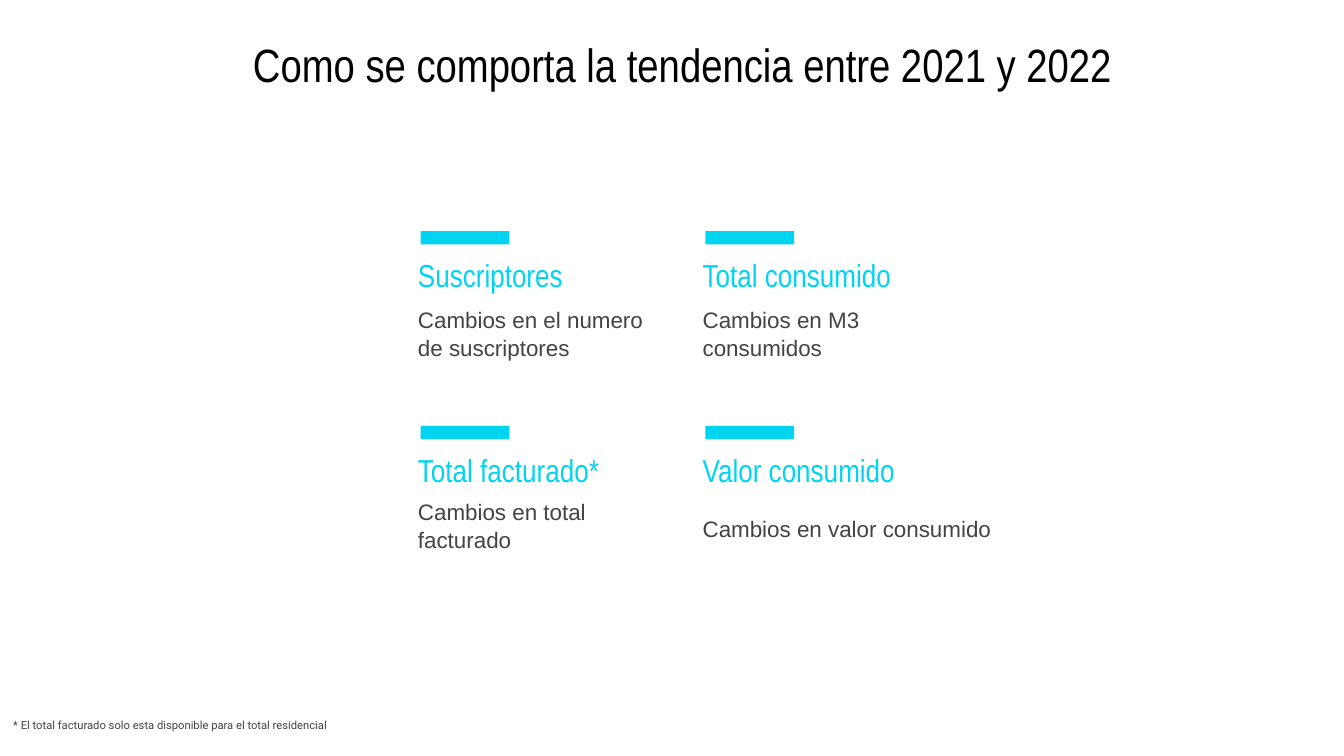
from pptx import Presentation
from pptx.dml.color import RGBColor
from pptx.enum.shapes import MSO_SHAPE
from pptx.enum.text import MSO_ANCHOR, MSO_AUTO_SIZE, PP_ALIGN
from pptx.util import Cm, Pt

BLACK = RGBColor(0x00, 0x00, 0x00)
CYAN = RGBColor(0x00, 0xD4, 0xF0)
GREY = RGBColor(0x43, 0x43, 0x43)
RECT = MSO_SHAPE.RECTANGLE
MIDDLE = MSO_ANCHOR.MIDDLE
NO_FIT = MSO_AUTO_SIZE.NONE
LEFT, CENTER = PP_ALIGN.LEFT, PP_ALIGN.CENTER

# Grid of topics, in cm
COLUMNS = (7.65, 13.03)
ROWS = (4.37, 8.05)

# Heading, heading width, description, description width, description offset
TOPICS = [
    ("Suscriptores", 4.93, "Cambios en el numero de suscriptores", 5.08, 1.17),
    ("Total consumido", 4.93, "Cambios en M3 consumidos", 4.93, 1.17),
    ("Total facturado*", 4.93, "Cambios en total facturado", 4.93, 1.12),
    ("Valor consumido", 5.31, "Cambios en valor consumido", 6.15, 1.17),
]


def format_text(s, text, font, size, color, align=LEFT, spacing=1.0):
    tf = s.text_frame
    tf.text = text
    tf.word_wrap = True
    tf.auto_size = NO_FIT
    tf.vertical_anchor = MIDDLE
    tf.margin_left = tf.margin_right = Cm(0.25)
    tf.margin_top = tf.margin_bottom = Cm(0.25)
    p = tf.paragraphs[0]
    p.alignment = align
    p.line_spacing = spacing
    r = p.runs[0]
    r.font.name = font
    r.font.size = Pt(size)
    r.font.color.rgb = color


def add_title(slide, text):
    s = slide.shapes.title
    s.left, s.top, s.width, s.height = Cm(1.5), Cm(0.53), Cm(22.78), Cm(1.35)
    format_text(s, text, "Arial Narrow", 25, BLACK, CENTER)


def add_text(slide, x, y, w, h, *style, **options):
    s = slide.shapes.add_textbox(Cm(x), Cm(y), Cm(w), Cm(h))
    format_text(s, *style, **options)


def add_bar(slide, x, y):
    s = slide.shapes.add_shape(RECT, Cm(x), Cm(y), Cm(1.68), Cm(0.25))
    s.shadow.inherit = False
    s.fill.solid()
    s.fill.fore_color.rgb = CYAN
    s.line.fill.background()


def add_topic(slide, x, y, heading, heading_w, detail, detail_w, detail_dy):
    add_bar(slide, x + 0.3, y)
    add_text(slide, x, y + 0.46, heading_w, 0.74,
             heading, "Arial Narrow", 17, CYAN)
    add_text(slide, x, y + detail_dy, detail_w, 1.52,
             detail, "Arial", 12, GREY, spacing=1.05)


def main():
    prs = Presentation()
    prs.slide_width, prs.slide_height = Cm(25.4), Cm(14.29)
    slide = prs.slides.add_slide(prs.slide_layouts[5])

    # Title
    add_title(slide, "Como se comporta la tendencia entre 2021 y 2022")

    # Topics, two per row
    for i, topic in enumerate(TOPICS):
        row, col = divmod(i, len(COLUMNS))
        add_topic(slide, COLUMNS[col], ROWS[row], *topic)

    # Footnote
    add_text(slide, 0, 12.95, 6.6, 1.52,
             "* El total facturado solo esta disponible para el total residencial",
             "Roboto", 6, GREY)

    prs.save("out.pptx")


if __name__ == "__main__":
    main()
